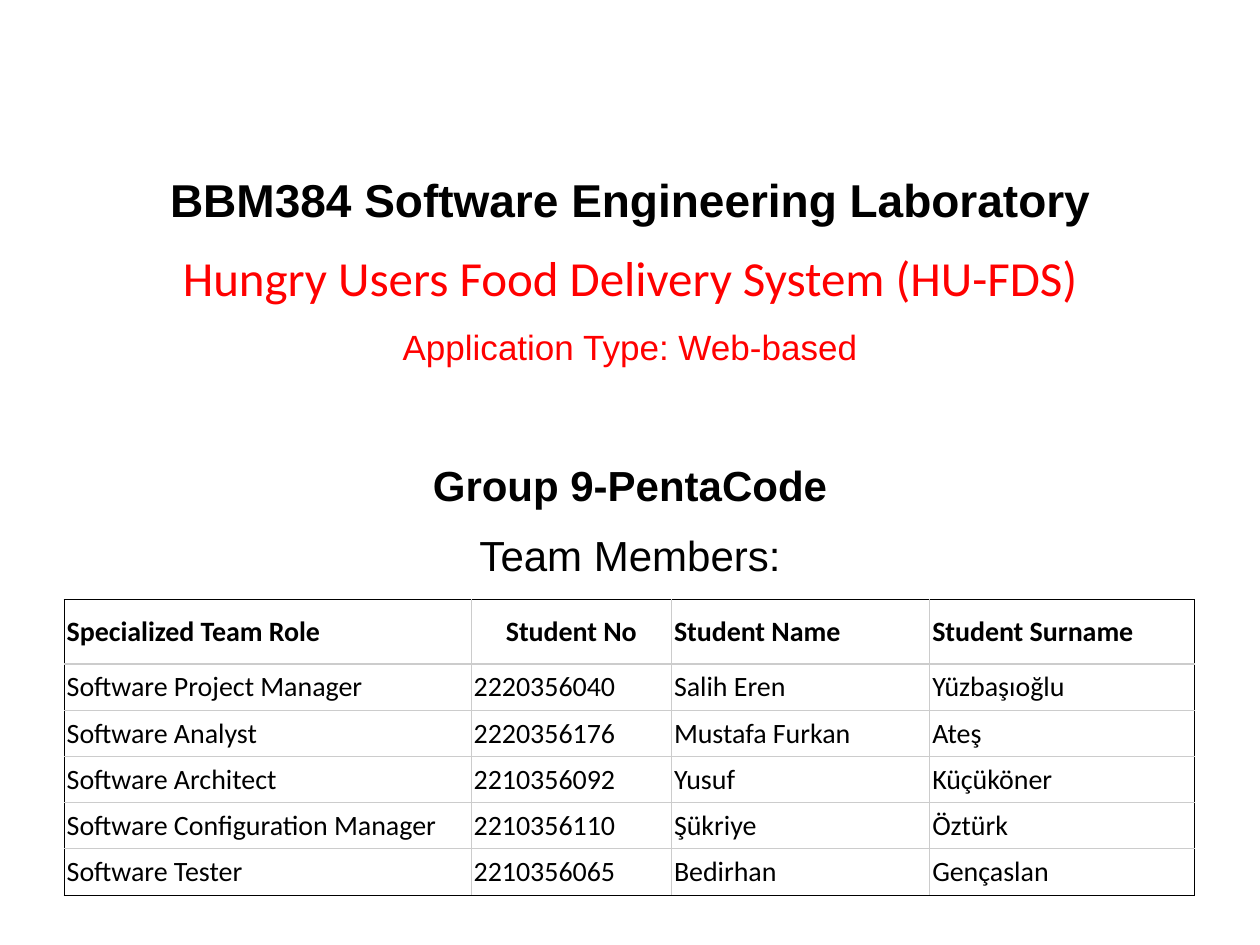
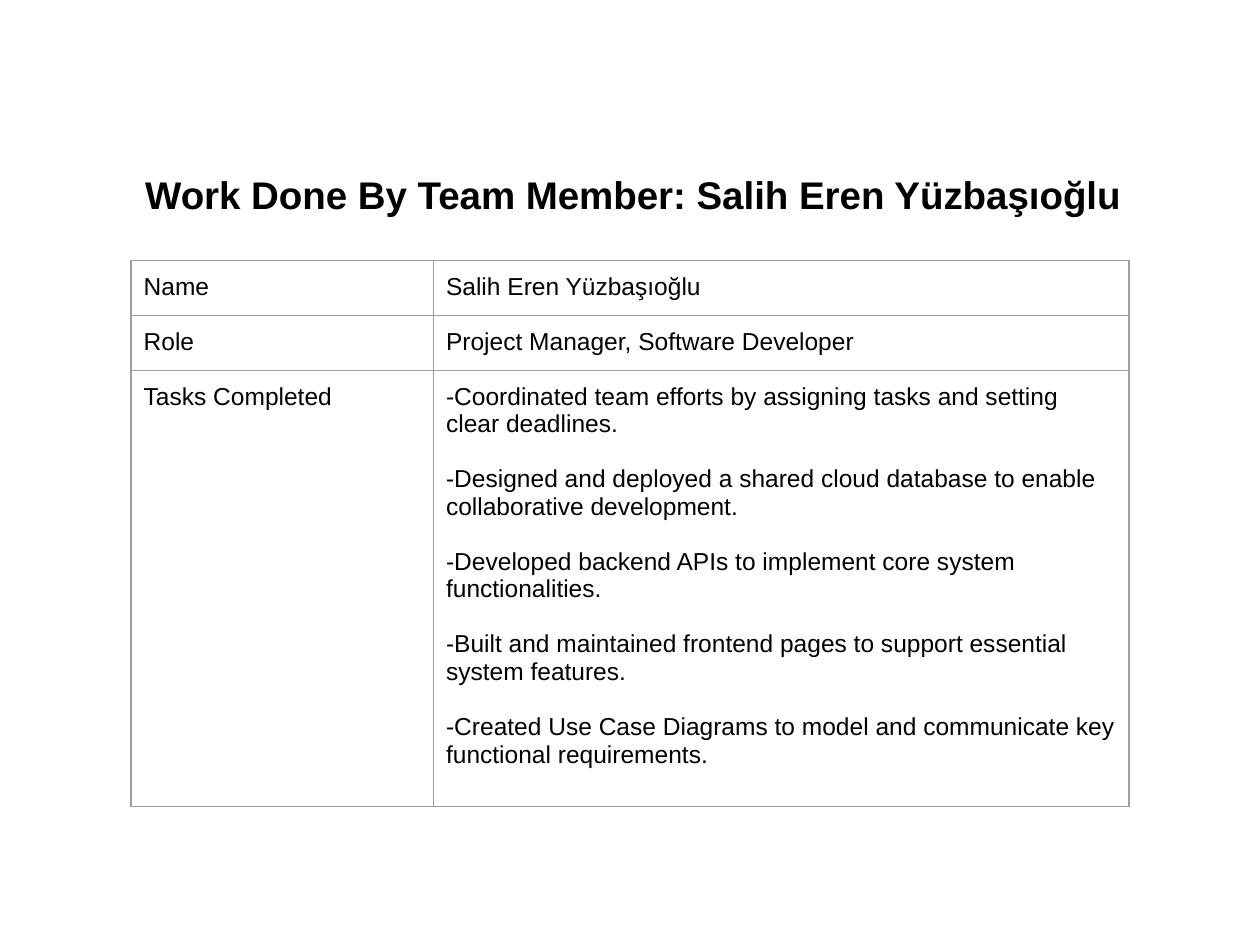
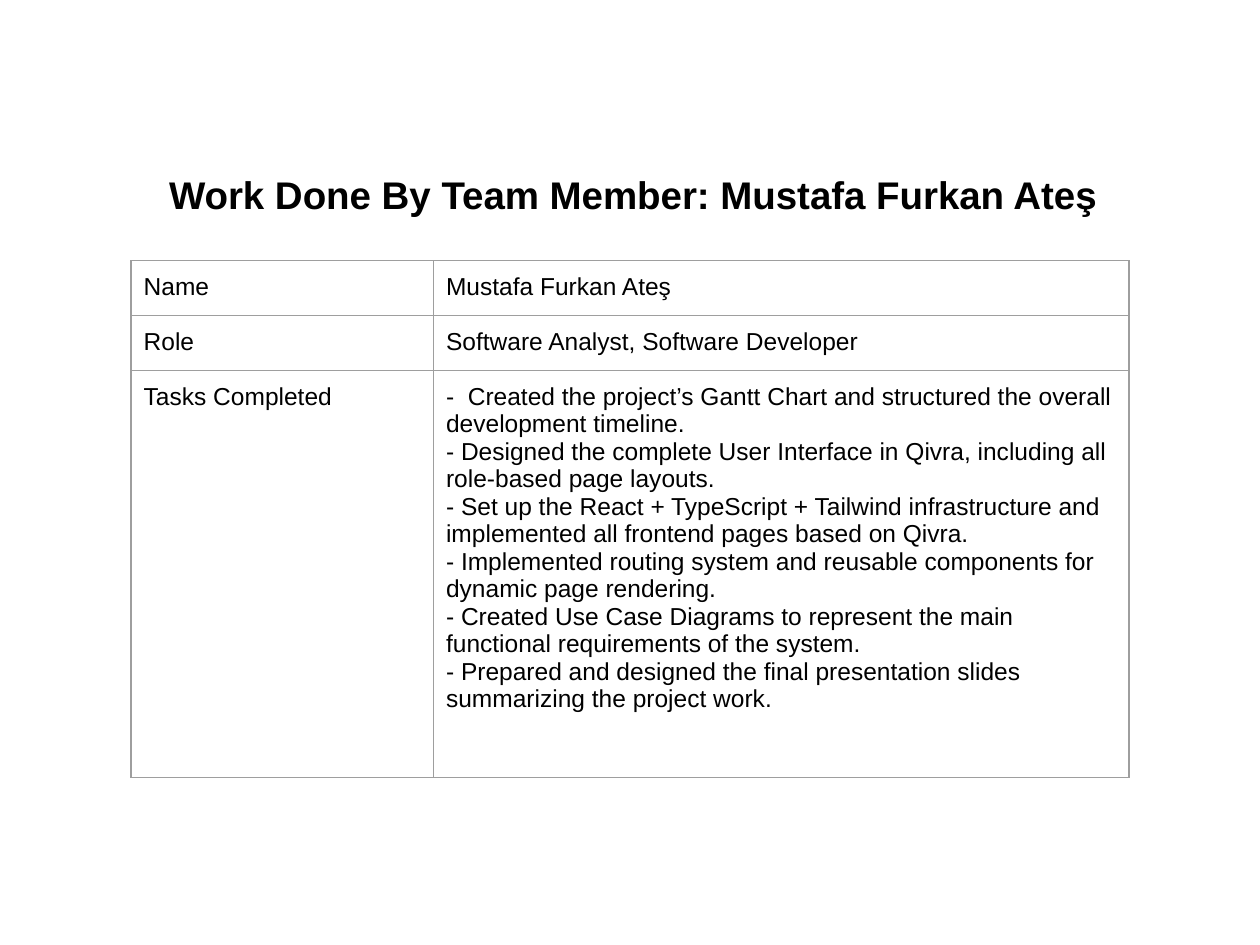
"""Builds the project team cover and the work summaries of its members."""
from dataclasses import dataclass

from lxml.etree import SubElement
from pptx import Presentation
from pptx.dml.color import RGBColor
from pptx.enum.text import MSO_ANCHOR as Anchor, PP_ALIGN as Align
from pptx.oxml.ns import qn
from pptx.slide import Slide
from pptx.table import _Cell as Cell
from pptx.util import Inches, Pt

COLOURS = {"text": "000000", "accent": "FF0000", "roster_grid": "CCCCCC", "work_grid": "9E9E9E"}
ROSTER = [
    ["Specialized Team Role", "Student No", "Student Name", "Student Surname"],
    ["Software Project Manager", "2220356040", "Salih Eren", "Yüzbaşıoğlu"],
    ["Software Analyst", "2220356176", "Mustafa Furkan", "Ateş"],
    ["Software Architect", "2210356092", "Yusuf", "Küçüköner"],
    ["Software Configuration Manager", "2210356110", "Şükriye", "Öztürk"],
    ["Software Tester", "2210356065", "Bedirhan", "Gençaslan"],
]


@dataclass(frozen=True)
class Heading:
    text: str
    size: float
    bold: bool = False
    colour: str = "text"
    font: str = "Arial"
    space_before: float = 8.4


@dataclass(frozen=True)
class TableStyle:
    left: float
    top: float
    columns: tuple[float, ...]
    font: str
    size: float
    inset_x: float
    inset_y: float
    edge: str
    grid: str
    anchor: Anchor = Anchor.TOP
    has_header: bool = False
    paragraph_gap: float = 0


@dataclass(frozen=True)
class MemberWork:
    name: str
    role: str
    tasks: tuple[str, ...]
    tasks_height: float
    task_gap: float = 0


COVER = [
    Heading("BBM384 Software Engineering Laboratory", 26.3, bold=True, space_before=0),
    Heading("Hungry Users Food Delivery System (HU-FDS)", 28, colour="accent", font="Calibri"),
    Heading("Application Type: Web-based", 20, colour="accent"),
    Heading("Group 9-PentaCode", 24, bold=True, space_before=50),
    Heading("Team Members:", 24),
]
MEMBERS = [
    MemberWork(
        "Salih Eren Yüzbaşıoğlu",
        "Project Manager, Software Developer",
        (
            "-Coordinated team efforts by assigning tasks and setting clear deadlines.",
            "-Designed and deployed a shared cloud database to enable collaborative development.",
            "-Developed backend APIs to implement core system functionalities.",
            "-Built and maintained frontend pages to support essential system features.",
            "-Created Use Case Diagrams to model and communicate key functional requirements.",
        ),
        tasks_height=3.46,
        task_gap=15.75,
    ),
    MemberWork(
        "Mustafa Furkan Ateş",
        "Software Analyst, Software Developer",
        (
            "-  Created the project’s Gantt Chart and structured the overall development timeline.",
            "- Designed the complete User Interface in Qivra, including all role-based page layouts.",
            "- Set up the React + TypeScript + Tailwind infrastructure and implemented all frontend "
            "pages based on Qivra.",
            "- Implemented routing system and reusable components for dynamic page rendering.",
            "- Created Use Case Diagrams to represent the main functional requirements of the system.",
            "- Prepared and designed the final presentation slides summarizing the project work.",
        ),
        tasks_height=3.23,
    ),
]


def draw_headings(slide: Slide, left: float, width: float, height: float,
                  headings: list[Heading]) -> None:
    """Stack centred headings from the shared title line downwards."""
    frame = slide.shapes.add_textbox(
        Inches(left), Inches(1.27), Inches(width), Inches(height)).text_frame
    frame.word_wrap = True
    for index, heading in enumerate(headings):
        paragraph = frame.add_paragraph() if index else frame.paragraphs[0]
        paragraph.text = heading.text
        paragraph.alignment = Align.CENTER
        paragraph.line_spacing = 1.1
        paragraph.space_before = Pt(heading.space_before)
        paragraph.font.name = heading.font
        paragraph.font.size = Pt(heading.size)
        paragraph.font.bold = heading.bold
        paragraph.font.color.rgb = RGBColor.from_string(COLOURS[heading.colour])


def set_borders(cell: Cell, colours: dict[str, str]) -> None:
    """Rule each side of a cell in its colour."""
    properties = cell._tc.get_or_add_tcPr()
    for side, colour in colours.items():
        line = SubElement(properties, qn(f"a:ln{side}"), w=str(Pt(0.75)))
        SubElement(SubElement(line, qn("a:solidFill")), qn("a:srgbClr"), val=COLOURS[colour])


def draw_table(slide: Slide, style: TableStyle, rows: list[list[str]],
               heights: list[float]) -> None:
    """Draw a ruled, unfilled table."""
    table = slide.shapes.add_table(
        len(rows), len(style.columns), Inches(style.left), Inches(style.top),
        Inches(sum(style.columns)), Inches(sum(heights))).table
    table.first_row = style.has_header
    table.horz_banding = False
    for column, width in zip(table.columns, style.columns):
        column.width = Inches(width)
    last_row, last_column = len(rows) - 1, len(style.columns) - 1
    for r, (texts, height) in enumerate(zip(rows, heights)):
        table.rows[r].height = Inches(height)
        for c, text in enumerate(texts):
            cell = table.cell(r, c)
            at_edge = {"L": c == 0, "R": c == last_column, "T": r == 0, "B": r == last_row}
            set_borders(cell, {side: style.edge if outer else style.grid
                               for side, outer in at_edge.items()})
            cell.fill.background()
            cell.vertical_anchor = style.anchor
            cell.margin_left = cell.margin_right = Inches(style.inset_x)
            cell.margin_top = cell.margin_bottom = Inches(style.inset_y)
            cell.text = text
            is_header = style.has_header and r == 0
            for index, paragraph in enumerate(cell.text_frame.paragraphs):
                paragraph.alignment = Align.CENTER if is_header and c == 1 else Align.LEFT
                paragraph.space_before = Pt(style.paragraph_gap if index else 0)
                paragraph.font.name = style.font
                paragraph.font.size = Pt(style.size)
                paragraph.font.bold = is_header
                paragraph.font.color.rgb = RGBColor.from_string(COLOURS["text"])


def draw_cover(slide: Slide) -> None:
    """Draw the course titles and the team roster."""
    draw_headings(slide, 0.39, 9.22, 3.41, COVER)
    style = TableStyle(0.51, 4.76, (3.23, 1.59, 2.05, 2.1), "Calibri", 16, 0.02, 0.05,
                       "text", "roster_grid", Anchor.MIDDLE, has_header=True)
    draw_table(slide, style, ROSTER, [0.51] + [0.36] * (len(ROSTER) - 1))


def draw_member(slide: Slide, member: MemberWork) -> None:
    """Draw the work summary of one member."""
    title = Heading(f"Work Done By Team Member: {member.name}", 22, bold=True, space_before=0)
    draw_headings(slide, 0.44, 9.17, 0.5, [title])
    style = TableStyle(1.04, 2.07, (2.4, 5.52), "Arial", 14, 0.1, 0.1,
                       "work_grid", "work_grid", paragraph_gap=member.task_gap)
    rows = [["Name", member.name], ["Role", member.role],
            ["Tasks Completed", "\n".join(member.tasks)]]
    draw_table(slide, style, rows, [0.43, 0.43, member.tasks_height])


def main() -> None:
    """Build and save the presentation."""
    deck = Presentation()
    deck.slide_width, deck.slide_height = Inches(10), Inches(7.5)
    blank = deck.slide_layouts[6]
    draw_cover(deck.slides.add_slide(blank))
    for member in MEMBERS:
        draw_member(deck.slides.add_slide(blank), member)
    deck.save("out.pptx")


if __name__ == "__main__":
    main()
